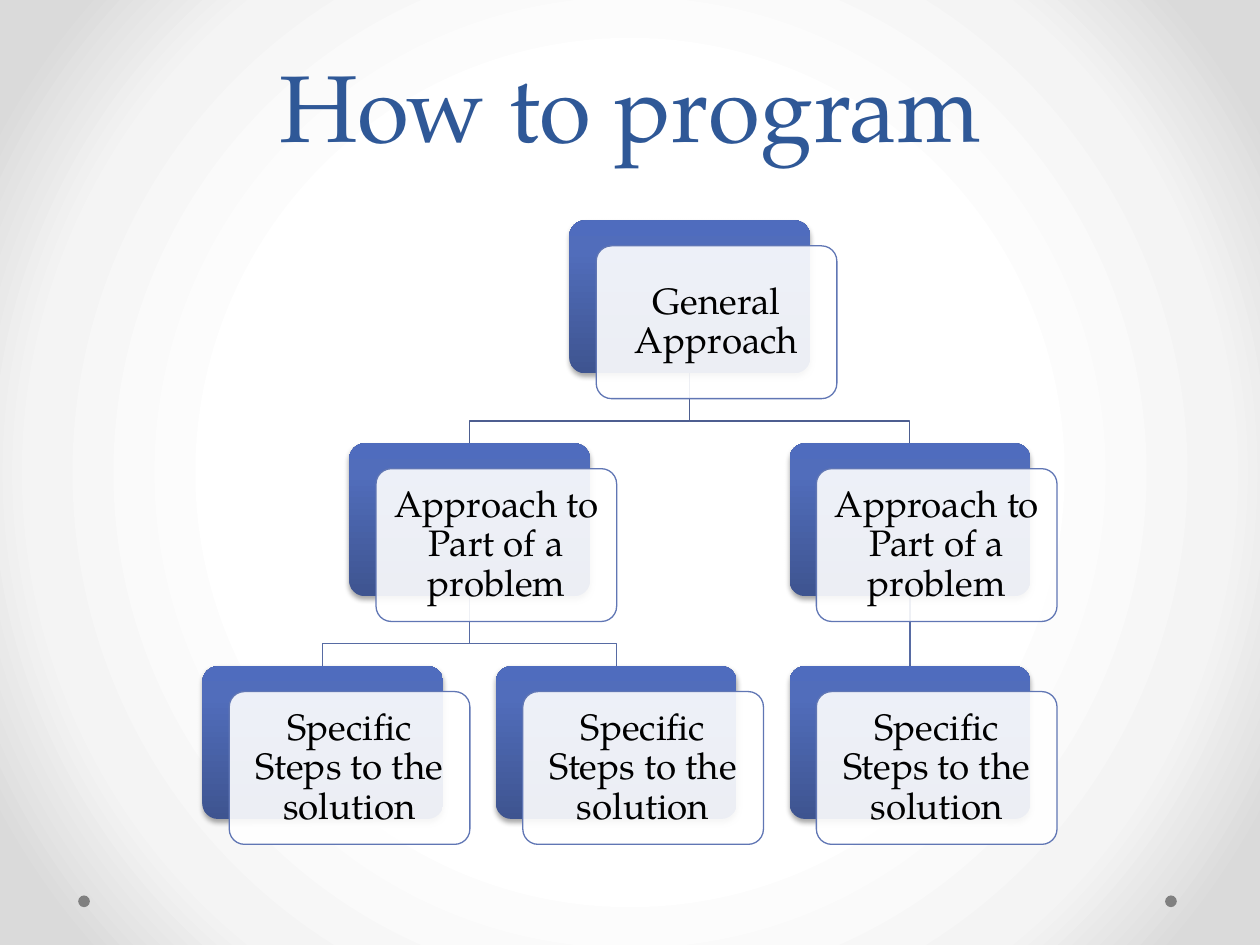
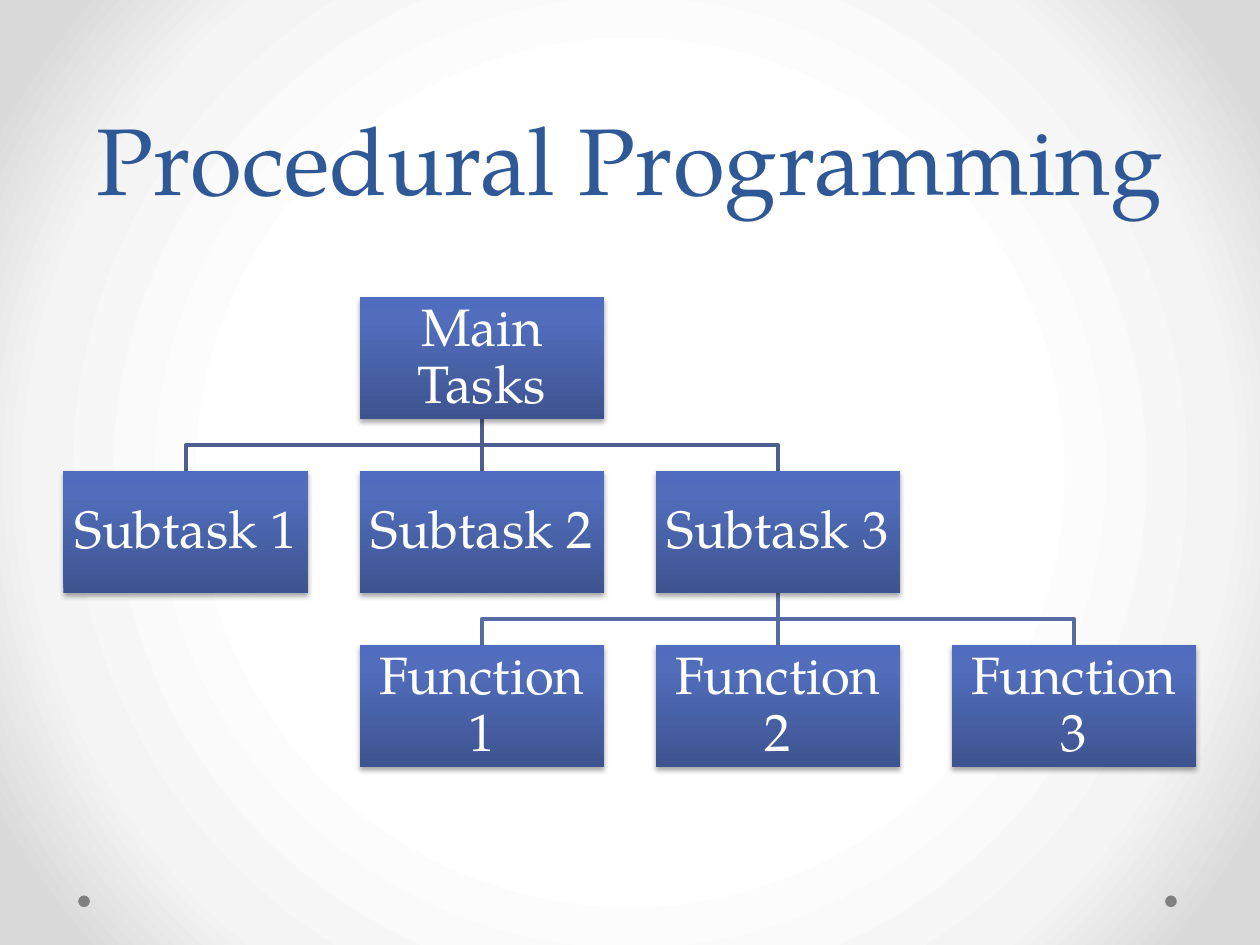
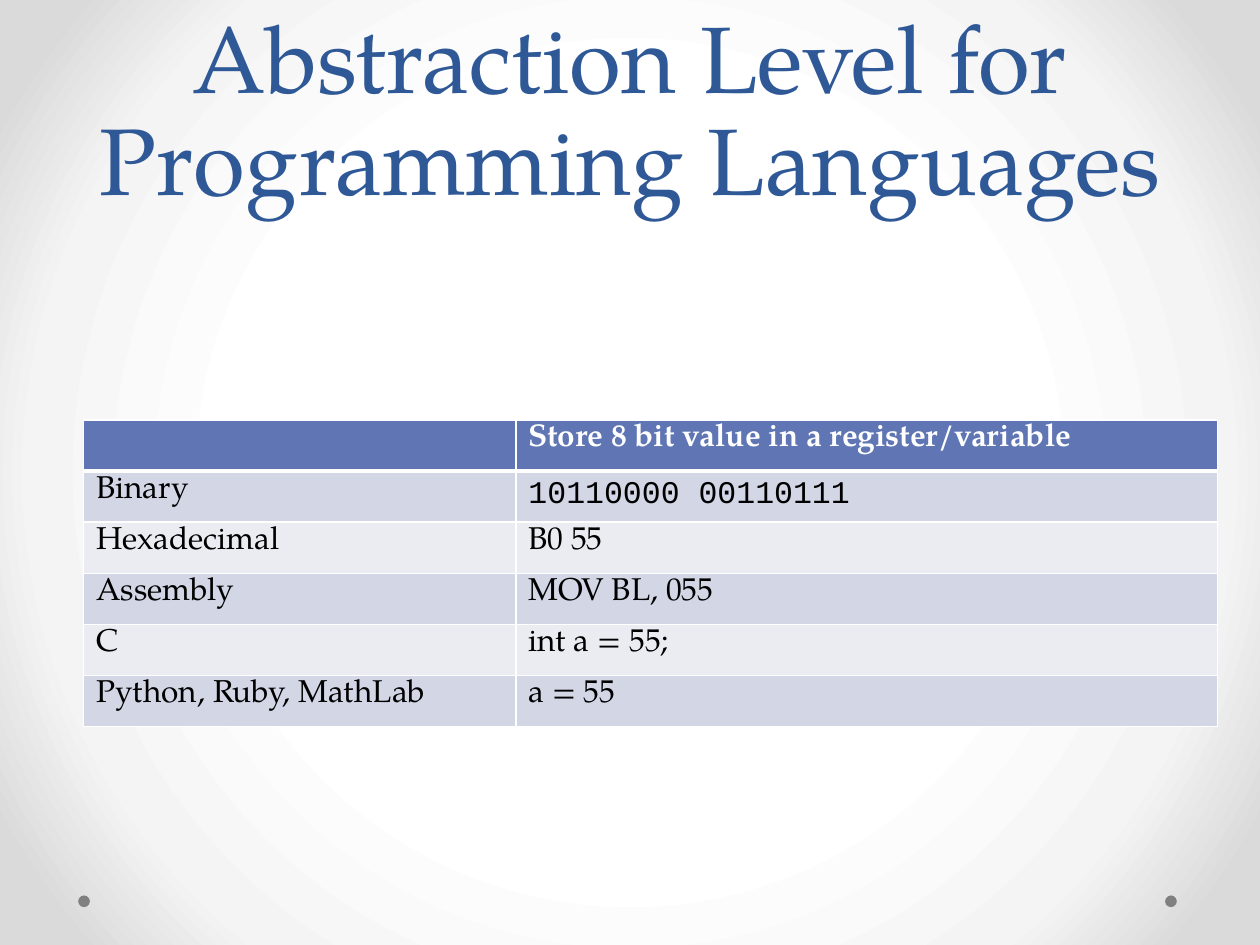
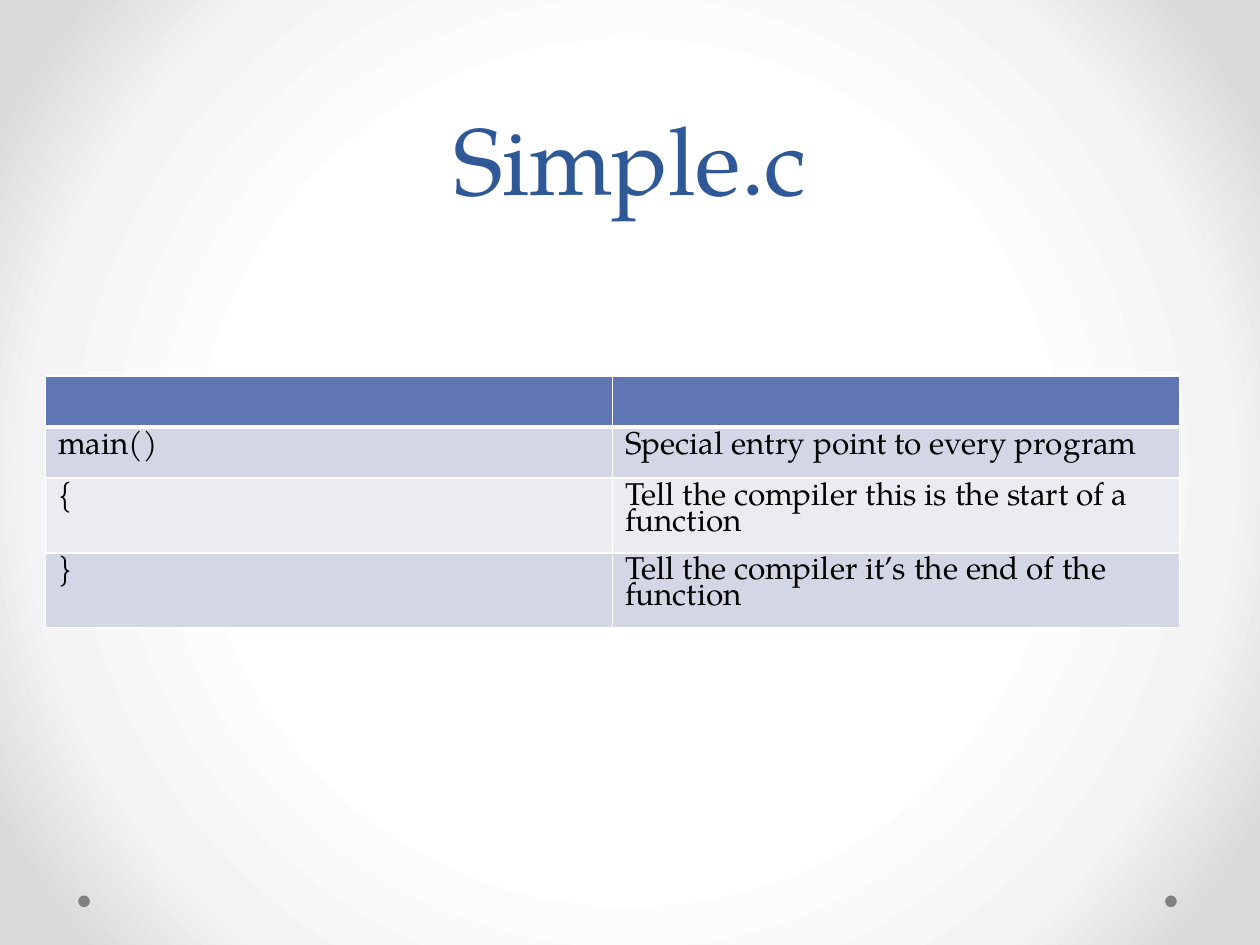
from dataclasses import dataclass

from lxml import etree
from pptx import Presentation
from pptx.dml.color import RGBColor as RGB
from pptx.enum.shapes import MSO_CONNECTOR as Connector, MSO_SHAPE as Shape
from pptx.enum.text import MSO_ANCHOR as Anchor, PP_ALIGN as Align
from pptx.oxml import parse_xml
from pptx.oxml.ns import nsdecls, qn
from pptx.util import Pt


@dataclass(frozen=True)
class Theme:
    font: str = "TeX Gyre Pagella"
    code_font: str = "Courier New"
    title: str = "2F5897"
    black: str = "000000"
    white: str = "FFFFFF"
    accent: str = "6076B4"
    dot: str = "808080"
    link_colors: tuple = ("4D5E90", "576BA3")
    bands: tuple = ("D2D6E5", "EAECF2")
    page_stops: tuple = ((50, "FFFFFF"), (76, "F4F4F4"), (92, "DADADA"))
    node_stops: tuple = ((0, "3E5490"), (80, "516DBB"), (100, "4F6CBE"))
    title_size: float = 54
    title_spacing: float = 58
    card_size: float = 21
    task_size: float = 30
    table_size: float = 18
    table_spacing: float = 0.82


@dataclass(frozen=True)
class Box:
    left: float
    top: float
    width: float
    height: float

    def points(self):
        return [Pt(side) for side in (self.left, self.top, self.width, self.height)]

    def moved(self, right, down):
        return Box(self.left + right, self.top + down, self.width, self.height)


@dataclass(frozen=True)
class Node:
    label: str
    column: float
    level: int
    parent: int | None = None


@dataclass(frozen=True)
class TreeStyle:
    node_width: float
    node_height: float
    link_width: float
    bend: float  # share of the gap between levels above the bend


THEME = Theme()
RADIAL = ('<a:path path="circle"><a:fillToRect l="50000" t="50000" '
          'r="50000" b="50000"/></a:path>')
UPWARD = '<a:lin ang="16200000" scaled="0"/>'

APPROACH_STYLE = TreeStyle(137.5, 87.3, 0.75, 0.68)
APPROACH_NODES = [
    Node("General Approach", 1.25, 0),
    Node("Approach to Part of a problem", 0.5, 1, 0),
    Node("Approach to Part of a problem", 2, 1, 0),
    Node("Specific Steps to the solution", 0, 2, 1),
    Node("Specific Steps to the solution", 1, 2, 1),
    Node("Specific Steps to the solution", 2, 2, 2),
]
TASK_STYLE = TreeStyle(139.7, 69.8, 2.25, 0.5)
TASK_NODES = [
    Node("Main Tasks", 1, 0),
    *[Node(f"Subtask {number}", number - 1, 1, 0) for number in (1, 2, 3)],
    *[Node(f"Function {number}", number, 2, 3) for number in (1, 2, 3)],
]
LANGUAGE_ROWS = [
    ("", "Store 8 bit value in a register/variable"),
    ("Binary", "10110000 00110111"),
    ("Hexadecimal", "B0 55"),
    ("Assembly", "MOV BL, 055"),
    ("C", "int a = 55;"),
    ("Python, Ruby, MathLab", "a = 55"),
]
SIMPLE_ROWS = [
    ("", ""),
    ("main()", "Special entry point to every program"),
    ("{", "Tell the compiler this is the start of a function"),
    ("}", "Tell the compiler it’s the end of the function"),
]


def set_gradient(owner, stops, shading):
    """Fill a shape or a layout background with the stops and the shading XML."""
    fill = owner.background.fill if hasattr(owner, "background") else owner.fill
    fill.gradient()
    marks = "".join(f'<a:gs pos="{place * 1000}"><a:srgbClr val="{color}"/></a:gs>'
                    for place, color in stops)
    gradient = parse_xml(f'<a:gradFill {nsdecls("a")} rotWithShape="1">'
                         f'<a:gsLst>{marks}</a:gsLst>{shading}</a:gradFill>')
    old = owner.element.find(".//" + qn("a:gradFill"))
    old.getparent().replace(old, gradient)


def set_shadow(shape):
    shape.shadow.inherit = False
    effects = shape.element.spPr.find(qn("a:effectLst"))
    shadow = etree.SubElement(effects, qn("a:outerShdw"), blurRad=str(Pt(3.1)),
                              dist=str(Pt(1.8)), dir="5400000", rotWithShape="0")
    color = etree.SubElement(shadow, qn("a:srgbClr"), val=THEME.black)
    etree.SubElement(color, qn("a:alpha"), val="35000")


def set_line(shape, color, width):
    shape.line.color.rgb = RGB.from_string(color)
    shape.line.width = Pt(width)


def style_paragraph(para, size, color, font=THEME.font, spacing=None, align=None,
                    bold=False):
    para.alignment = align
    para.line_spacing = spacing
    para.font.name = font
    para.font.size = Pt(size)
    para.font.bold = bold
    para.font.color.rgb = RGB.from_string(color)


def write_label(shape, text, size, color, inset):
    frame = shape.text_frame
    frame.word_wrap = True
    frame.vertical_anchor = Anchor.MIDDLE
    frame.margin_left = frame.margin_right = Pt(inset)
    frame.margin_top = frame.margin_bottom = Pt(inset)
    frame.text = text
    style_paragraph(frame.paragraphs[0], size, color, spacing=0.9, align=Align.CENTER)


def dress_layout(layout, page):
    """Give the layout its background and dots; the dots are made on the page."""
    set_gradient(layout, THEME.page_stops, RADIAL)
    for left in (665.8, 44.7):
        dot = page.shapes.add_shape(Shape.OVAL, *Box(left, 511.7, 6.7, 6.7).points())
        dot.shadow.inherit = False
        dot.fill.solid()
        dot.fill.fore_color.rgb = RGB.from_string(THEME.dot)
        dot.line.fill.background()
        layout.element.cSld.spTree.append(dot.element)


def add_title(page, text, box):
    title = page.shapes.add_textbox(*box.points())
    frame = title.text_frame
    frame.word_wrap = True
    frame.vertical_anchor = Anchor.BOTTOM
    frame.text = text
    style_paragraph(frame.paragraphs[0], THEME.title_size, THEME.title,
                    spacing=Pt(THEME.title_spacing), align=Align.CENTER)


def add_block(page, kind, box):
    block = page.shapes.add_shape(kind, *box.points())
    set_gradient(block, THEME.node_stops, UPWARD)
    block.line.fill.background()
    set_shadow(block)
    return block


def add_card_node(page, label, box):
    """A blue block with a translucent labelled card in front of it."""
    block = add_block(page, Shape.ROUNDED_RECTANGLE, box)
    card = page.shapes.add_shape(Shape.ROUNDED_RECTANGLE,
                                 *box.moved(15.3, 14.5).points())
    block.adjustments[0] = card.adjustments[0] = 0.1
    card.shadow.inherit = False
    card.fill.solid()
    card.fill.fore_color.rgb = RGB.from_string(THEME.white)
    color = card.element.spPr.find(qn("a:solidFill")).find(qn("a:srgbClr"))
    etree.SubElement(color, qn("a:alpha"), val="90000")
    set_line(card, THEME.accent, 0.75)
    write_label(card, label, THEME.card_size, THEME.black, 6.3)
    return block


def add_task_node(page, label, box):
    block = add_block(page, Shape.RECTANGLE, box)
    write_label(block, label, THEME.task_size, THEME.white, 1.5)
    return block


def add_link(page, parent, child, bend):
    """Join parent and child: straight if they are aligned, otherwise stepped."""
    start_x, start_y = parent.left + parent.width // 2, parent.top + parent.height
    end_x, end_y = child.left + child.width // 2, child.top
    if abs(start_x - end_x) < Pt(1):
        link = page.shapes.add_connector(Connector.STRAIGHT, start_x, start_y,
                                         end_x, end_y)
        link.begin_connect(parent, 2)
        link.end_connect(child, 0)
        etree.SubElement(link.element.spPr, qn("a:effectLst"))
        return link
    bend_y = start_y + int((end_y - start_y) * bend)
    outline = page.shapes.build_freeform(start_x, start_y)
    outline.add_line_segments([(start_x, bend_y), (end_x, bend_y), (end_x, end_y)],
                              close=False)
    link = outline.convert_to_shape()
    link.fill.background()
    link.shadow.inherit = False
    return link


def add_tree(page, nodes, box, style, add_node):
    last_column = max(node.column for node in nodes)
    last_level = max(node.level for node in nodes)
    column_step = (box.width - style.node_width) / last_column
    level_step = (box.height - style.node_height) / last_level
    corner = Box(box.left, box.top, style.node_width, style.node_height)
    blocks = [add_node(page, node.label, corner.moved(node.column * column_step,
                                                      node.level * level_step))
              for node in nodes]
    for node, block in zip(nodes, blocks):
        if node.parent is None:
            continue
        link = add_link(page, blocks[node.parent], block, style.bend)
        set_line(link, THEME.link_colors[node.level - 1], style.link_width)
        blocks[0].element.addprevious(link.element)


def set_borders(cell, row_index):
    properties = cell._tc.get_or_add_tcPr()
    heavy_side = {0: "B", 1: "T"}.get(row_index)
    for side in "LRTB":
        width = Pt(3 if side == heavy_side else 1)
        border = etree.SubElement(properties, qn(f"a:ln{side}"), w=str(width))
        fill = etree.SubElement(border, qn("a:solidFill"))
        etree.SubElement(fill, qn("a:srgbClr"), val=THEME.white)


def add_grid(page, rows, box, column_widths, code_cells=()):
    """A banded table with a header row; code_cells holds (row, column) pairs."""
    frame = page.shapes.add_table(len(rows), len(column_widths), *box.points())
    table = frame.table
    table.horz_banding = False
    for column, width in zip(table.columns, column_widths):
        column.width = Pt(width)
    for row_index, texts in enumerate(rows):
        header = row_index == 0
        band = THEME.accent if header else THEME.bands[(row_index - 1) % 2]
        for column_index, text in enumerate(texts):
            cell = table.cell(row_index, column_index)
            set_borders(cell, row_index)
            cell.fill.solid()
            cell.fill.fore_color.rgb = RGB.from_string(band)
            cell.text = text
            code = (row_index, column_index) in code_cells
            style_paragraph(cell.text_frame.paragraphs[0], THEME.table_size,
                            THEME.white if header else THEME.black,
                            font=THEME.code_font if code else THEME.font,
                            spacing=None if code else THEME.table_spacing,
                            bold=header)


def main():
    deck = Presentation()
    deck.slide_width, deck.slide_height = Pt(720), Pt(540)
    blank = deck.slide_layouts[6]
    approach, tasks, languages, simple = [deck.slides.add_slide(blank)
                                          for _ in range(4)]
    dress_layout(blank, approach)
    title_box = Box(36, 0, 648, 126)

    add_title(approach, "How to program", Box(36, 0, 648, 96))
    add_tree(approach, APPROACH_NODES, Box(115.7, 126, 473, 342),
             APPROACH_STYLE, add_card_node)

    add_title(tasks, "Procedural Programming", title_box)
    add_tree(tasks, TASK_NODES, Box(36.3, 169.7, 647.3, 268.6),
             TASK_STYLE, add_task_node)

    add_title(languages, "Abstraction Level for Programming Languages", title_box)
    add_grid(languages, LANGUAGE_ROWS, Box(47.8, 240, 648, 175.2), (247, 401),
             code_cells=[(1, 1)])

    add_title(simple, "Simple.c", title_box)
    add_grid(simple, SIMPLE_ROWS, Box(26, 214.8, 648, 116.8), (324, 324))

    deck.save("out.pptx")


if __name__ == "__main__":
    main()
